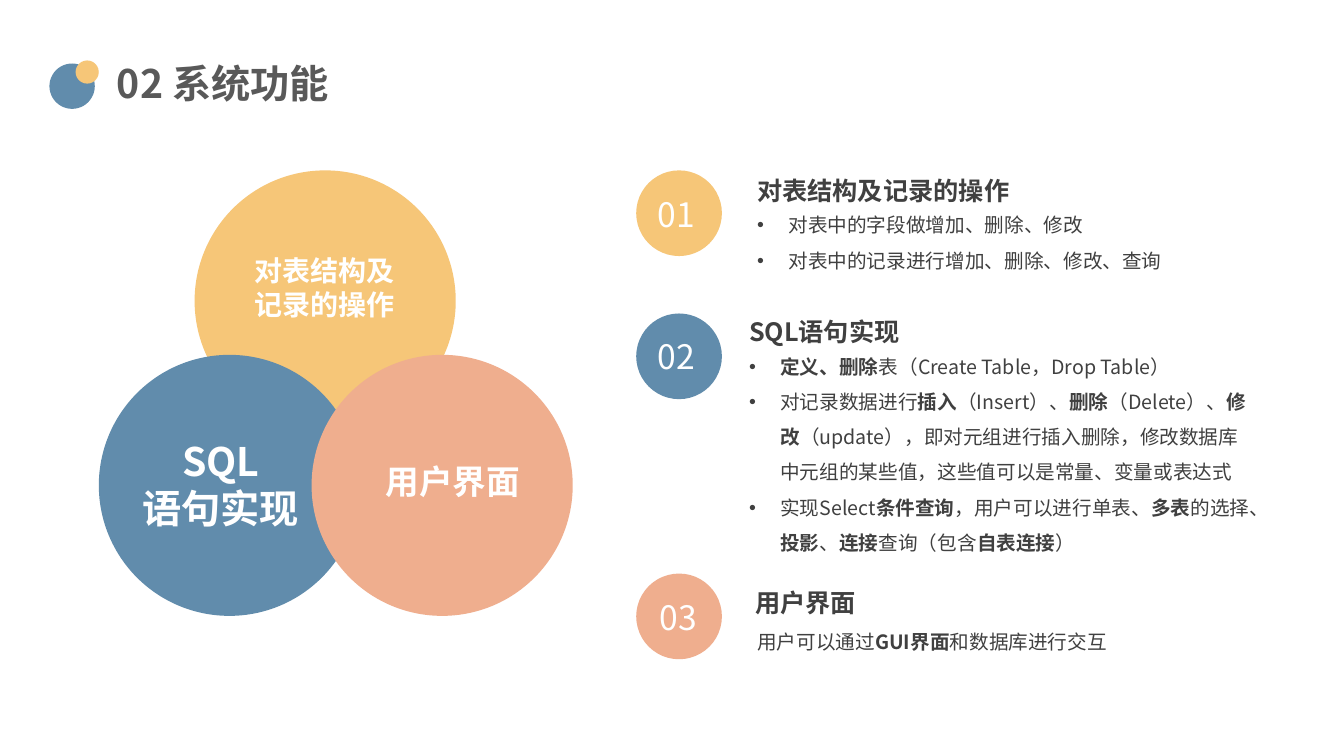
"""Build the system functions slide: three overlapping circles and a numbered list."""
from lxml import etree
from pptx import Presentation
from pptx import util as u
from pptx.dml.color import RGBColor
from pptx.enum import shapes, text
from pptx.oxml import ns

PX = 9144
FONT = "Noto Sans CJK SC"
BLUE = RGBColor(0x61, 0x8C, 0xAC)
YELLOW = RGBColor(0xF6, 0xC6, 0x78)
PINK = RGBColor(0xEF, 0xAE, 0x8E)
WHITE = RGBColor(0xFF, 0xFF, 0xFF)
DARK = RGBColor(0x40, 0x40, 0x40)
GREY = RGBColor(0x59, 0x59, 0x59)
LEFT, CENTER = text.PP_ALIGN.LEFT, text.PP_ALIGN.CENTER
TOP, MIDDLE = text.MSO_ANCHOR.TOP, text.MSO_ANCHOR.MIDDLE


def add_circle(parent, x, y, size, color):
    """Add a plain filled circle."""
    sp = parent.add_shape(shapes.MSO_SHAPE.OVAL, x * PX, y * PX, size * PX, size * PX)
    sp.shadow.inherit = False
    sp.fill.solid()
    sp.fill.fore_color.rgb = color
    sp.line.fill.background()


def write(sp, box, lines, size, color, bold=False, align=LEFT, anchor=TOP,
          inset=True, spacing=None, bullets=False):
    """Place a text shape and fill it; asterisks switch bold on and off."""
    sp.left, sp.top, sp.width, sp.height = [v * PX for v in box]
    tf = sp.text_frame
    tf.word_wrap = True
    tf.auto_size = text.MSO_AUTO_SIZE.NONE
    tf.vertical_anchor = anchor
    if not inset:
        tf.margin_left = tf.margin_top = tf.margin_right = tf.margin_bottom = 0
    for i, line in enumerate(lines):
        p = tf.add_paragraph() if i else tf.paragraphs[0]
        p.alignment = align
        if spacing:
            p.line_spacing = spacing
        if bullets:
            pPr = p._p.get_or_add_pPr()
            pPr.set("marL", str(31 * PX))
            pPr.set("indent", str(-31 * PX))
            etree.SubElement(pPr, ns.qn("a:buFont")).set("typeface", "Arial")
            etree.SubElement(pPr, ns.qn("a:buChar")).set("char", "•")
        for j, part in enumerate(line.split("*")):
            if not part:
                continue
            r = p.add_run()
            r.text = part
            r.font.size = u.Pt(size)
            r.font.bold = bold or j % 2 == 1
            r.font.color.rgb = color
            r.font.name = FONT
            etree.SubElement(r._r.get_or_add_rPr(), ns.qn("a:ea")).set("typeface", FONT)


prs = Presentation()
prs.slide_width, prs.slide_height = 1333 * PX, 750 * PX
s = prs.slides.add_slide(prs.slide_layouts[5])

write(s.shapes.title, (106, 54, 273, 57), ["02 系统功能"], 28, GREY, bold=True)

for x, y, size, color in [
    (49, 63, 45, BLUE),
    (75, 60, 23, YELLOW),
    (193, 169, 259, YELLOW),
    (98, 352, 259, BLUE),
    (309, 352, 259, PINK),
]:
    add_circle(s.shapes, x, y, size, color)

for box, lines, size in [
    ((123, 429, 192, 104), ["SQL", "语句实现"], 28),
    ((235, 247, 174, 77), ["对表结构及记录的操作"], 20),
    ((372, 452, 154, 50), ["用户界面"], 24),
]:
    write(s.shapes.add_textbox(0, 0, 0, 0), box, lines, size, WHITE, bold=True, align=CENTER)

items = [
    ("03", 569, PINK, (647, 590, 52, 44),
     "用户界面", (749, 583, 126, 30),
     ["用户可以通过*GUI界面*和数据库进行交互"], (751, 613, 387, 31)),
    ("02", 311, BLUE, (648, 331, 46, 44),
     "SQL语句实现", (743, 314, 173, 30),
     ["*定义、删除*表（Create Table，Drop Table）",
      "对记录数据进行*插入*（Insert）、*删除*（Delete）、*修改*（update），即对元组进行插入删除，"
      "修改数据库中元组的某些值，这些值可以是常量、变量或表达式",
      "实现Select*条件查询*，用户可以进行单表、*多表*的选择、*投影*、*连接*查询（包含*自表连接*）"],
     (743, 340, 499, 208)),
    ("01", 169, YELLOW, (645, 190, 52, 44),
     "对表结构及记录的操作", (751, 174, 303, 67),
     ["对表中的字段做增加、删除、修改", "对表中的记录进行增加、删除、修改、查询"],
     (751, 200, 449, 67)),
]
for number, y, color, number_box, heading, heading_box, body, body_box in items:
    item = s.shapes.add_group_shape().shapes
    add_circle(item, 631, y, 85, color)
    write(item.add_textbox(0, 0, 0, 0), heading_box, [heading], 18, DARK, bold=True, inset=False)
    write(item.add_textbox(0, 0, 0, 0), body_box, body, 14, DARK, inset=False,
          spacing=1.5, bullets=len(body) > 1)
    write(item.add_textbox(0, 0, 0, 0), number_box, [number], 24, WHITE,
          align=CENTER, anchor=MIDDLE, inset=False)

prs.save("out.pptx")
